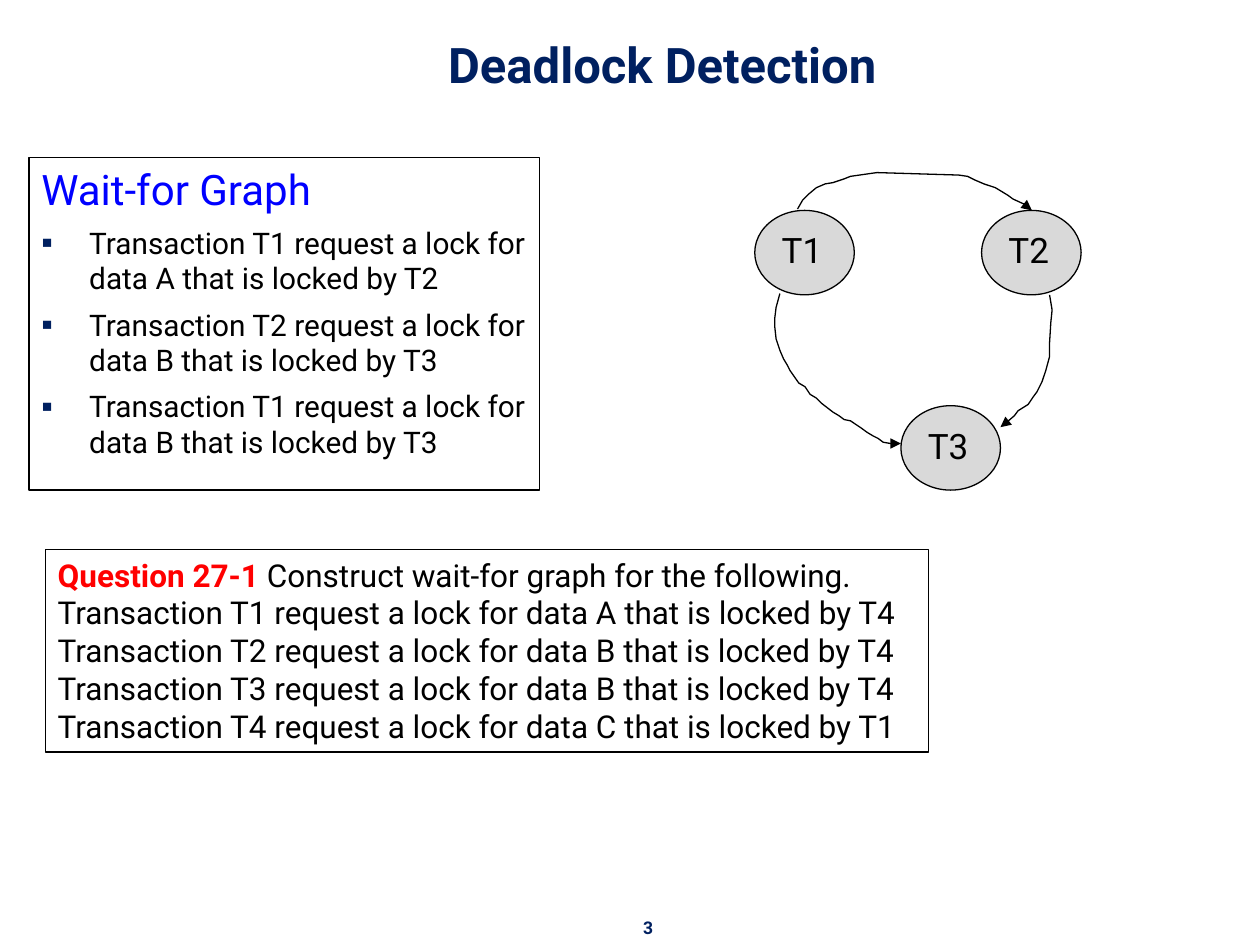
from lxml import etree
from pptx import Presentation
from pptx.dml.color import RGBColor
from pptx.enum.shapes import MSO_SHAPE
from pptx.enum.text import MSO_ANCHOR, PP_ALIGN
from pptx.oxml.ns import qn
from pptx.util import Inches, Pt

RECTANGLE, OVAL = MSO_SHAPE.RECTANGLE, MSO_SHAPE.OVAL
TOP, BOTTOM = MSO_ANCHOR.TOP, MSO_ANCHOR.BOTTOM
LEFT, CENTER = PP_ALIGN.LEFT, PP_ALIGN.CENTER

FONT = "Roboto"
NAVY = RGBColor(0x00, 0x20, 0x60)
BLUE = RGBColor(0x00, 0x00, 0xFF)
RED = RGBColor(0xFF, 0x00, 0x00)
BLACK = RGBColor(0x00, 0x00, 0x00)
GRAY = RGBColor(0xD9, 0xD9, 0xD9)

TITLE = "Deadlock Detection"
PAGE_NUMBER = "3"
GRAPH_HEADING = "Wait-for Graph"
GRAPH_LOCKS = [("T1", "A", "T2"), ("T2", "B", "T3"), ("T1", "B", "T3")]
QUESTION_LABEL = "Question 27-1 "
QUESTION = "Construct wait-for graph for the following."
QUESTION_LOCKS = [("T1", "A", "T4"), ("T2", "B", "T4"),
                  ("T3", "B", "T4"), ("T4", "C", "T1")]

NODE_SIZE = (0.79, 0.67)
NODES = {"T1": (5.99, 1.67), "T2": (7.79, 1.67), "T3": (7.15, 3.22)}
T1_TO_T2 = [
    (6.33, 1.66), (6.37, 1.59), (6.42, 1.54), (6.48, 1.49), (6.55, 1.46),
    (6.61, 1.45), (6.7, 1.42), (6.75, 1.4), (6.96, 1.37), (7.61, 1.39),
    (7.68, 1.4), (7.74, 1.43), (7.81, 1.46), (7.9, 1.49), (8, 1.55),
    (8.04, 1.58), (8.15, 1.63), (8.19, 1.67)]
T2_TO_T3 = [
    (8.33, 2.34), (8.35, 2.46), (8.34, 2.56), (8.33, 2.72), (8.33, 2.83),
    (8.3, 2.94), (8.27, 3.03), (8.23, 3.11), (8.2, 3.15), (8.16, 3.21),
    (8.08, 3.26), (8.05, 3.3), (7.98, 3.36), (7.94, 3.39)]
T1_TO_T3 = [
    (6.19, 2.33), (6.16, 2.44), (6.15, 2.52), (6.15, 2.6), (6.16, 2.69),
    (6.19, 2.78), (6.22, 2.85), (6.25, 2.9), (6.27, 2.94), (6.34, 3.04),
    (6.39, 3.07), (6.43, 3.13), (6.48, 3.16), (6.52, 3.2), (6.61, 3.27),
    (6.66, 3.3), (6.7, 3.33), (6.75, 3.34), (6.84, 3.4), (6.88, 3.43),
    (6.93, 3.46), (6.97, 3.48), (7.01, 3.51), (7.07, 3.52), (7.15, 3.52)]


def lock_sentence(lock):
    """Word one lock request."""
    waiting, data, holder = lock
    return f"Transaction {waiting} request a lock for data {data} that is locked by {holder}"


def add_run(paragraph, text, size, color, bold=False):
    """Append one styled run."""
    run = paragraph.add_run()
    run.text = text
    run.font.name = FONT
    run.font.size = Pt(size)
    run.font.bold = bold
    run.font.color.rgb = color


def next_paragraph(frame, is_first):
    """Return the first paragraph, or a new left-aligned one."""
    paragraph = frame.paragraphs[0] if is_first else frame.add_paragraph()
    paragraph.alignment = LEFT
    return paragraph


def add_bullet(paragraph):
    """Give a paragraph a hanging square bullet and space before it."""
    properties = paragraph._p.get_or_add_pPr()
    properties.set("marL", str(Inches(0.38)))
    properties.set("indent", str(-Inches(0.38)))
    space = etree.SubElement(properties, qn("a:spcBef"))
    etree.SubElement(space, qn("a:spcPct"), val="35000")
    color = etree.SubElement(properties, qn("a:buClr"))
    etree.SubElement(color, qn("a:srgbClr"), val=str(NAVY))
    etree.SubElement(properties, qn("a:buSzPct"), val="110000")
    etree.SubElement(properties, qn("a:buFont"), typeface="Arial")
    etree.SubElement(properties, qn("a:buChar"), char="▪")


def add_label(slide, box, text, size, anchor):
    """Add a centred bold text box."""
    frame = slide.shapes.add_textbox(*map(Inches, box)).text_frame
    frame.word_wrap = True
    frame.vertical_anchor = anchor
    frame.paragraphs[0].alignment = CENTER
    add_run(frame.paragraphs[0], text, size, NAVY, True)


def style_outline(shape, fill=None):
    """Set a thin black line, an optional fill and no shadow."""
    shape.shadow.inherit = False
    shape.line.color.rgb = BLACK
    shape.line.width = Pt(0.75)
    if fill is None:
        shape.fill.background()
    else:
        shape.fill.solid()
        shape.fill.fore_color.rgb = fill


def add_outlined(slide, kind, box, fill=None, wrap=True):
    """Add an outlined shape and return its text frame."""
    shape = slide.shapes.add_shape(kind, *map(Inches, box))
    style_outline(shape, fill)
    frame = shape.text_frame
    frame.word_wrap = wrap
    frame.vertical_anchor = TOP
    return frame


def add_wait(slide, points):
    """Draw a hand-drawn arrow through the points."""
    places = [(Inches(x), Inches(y)) for x, y in points]
    builder = slide.shapes.build_freeform(*places[0])
    builder.add_line_segments(places[1:], close=False)
    arrow = builder.convert_to_shape()
    style_outline(arrow)
    etree.SubElement(arrow.line._get_or_add_ln(), qn("a:tailEnd"), type="triangle")


def build():
    """Build and save the slide."""
    presentation = Presentation()
    presentation.slide_width, presentation.slide_height = Inches(10), Inches(7.5)
    slide = presentation.slides.add_slide(presentation.slide_layouts[6])
    add_label(slide, (4.96, 7.23, 0.37, 0.27), PAGE_NUMBER, 10, TOP)
    add_label(slide, (0.84, 0.13, 8.83, 0.66), TITLE, 28, BOTTOM)

    frame = add_outlined(slide, RECTANGLE, (0.23, 1.25, 4.05, 2.64))
    add_run(next_paragraph(frame, True), GRAPH_HEADING, 24, BLUE)
    for lock in GRAPH_LOCKS:
        paragraph = next_paragraph(frame, False)
        add_bullet(paragraph)
        add_run(paragraph, lock_sentence(lock), 17, BLACK)

    for name, corner in NODES.items():
        frame = add_outlined(slide, OVAL, corner + NODE_SIZE, GRAY, wrap=False)
        add_run(next_paragraph(frame, True), name, 20, BLACK)
    for points in (T1_TO_T2, T2_TO_T3, T1_TO_T3):
        add_wait(slide, points)

    frame = add_outlined(slide, RECTANGLE, (0.36, 4.36, 7.01, 1.61))
    paragraph = next_paragraph(frame, True)
    add_run(paragraph, QUESTION_LABEL, 18, RED, True)
    add_run(paragraph, QUESTION, 18, BLACK)
    for lock in QUESTION_LOCKS:
        add_run(next_paragraph(frame, False), lock_sentence(lock), 18, BLACK)

    presentation.save("out.pptx")


build()
